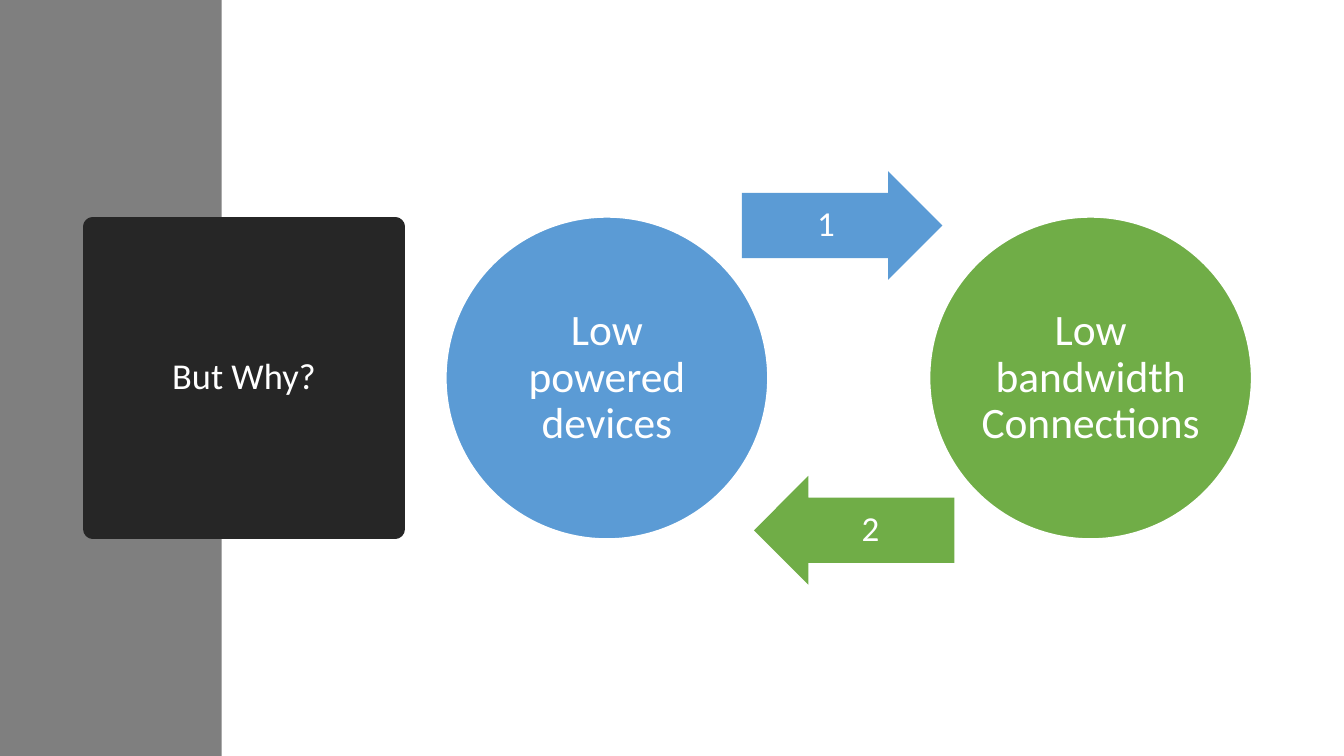
import pptx
import pptx.dml.color
import pptx.enum.shapes
import pptx.enum.text
import pptx.oxml.ns
import pptx.util
import lxml.etree
from dataclasses import dataclass

Cm = pptx.util.Cm
Pt = pptx.util.Pt
Shape = pptx.enum.shapes.MSO_SHAPE


@dataclass(frozen=True)
class Theme:
    font: str = "Calibri"
    white: str = "FFFFFF"
    band: str = "7F7F7F"
    title: str = "262626"
    blue: str = "5B9BD5"
    green: str = "70AD47"
    title_size: float = 26
    circle_size: float = 31
    arrow_size: float = 25


class SlideBuilder:
    def __init__(self, slide, theme):
        self.slide = slide
        self.theme = theme

    def shape(self, kind, left, top, width, height, fill, line=None, line_width=0):
        shape = self.slide.shapes.add_shape(
            kind, Cm(left), Cm(top), Cm(width), Cm(height))
        shape.shadow.inherit = False
        shape.fill.solid()
        shape.fill.fore_color.rgb = pptx.dml.color.RGBColor.from_string(fill)
        if line:
            shape.line.color.rgb = pptx.dml.color.RGBColor.from_string(line)
            shape.line.width = Pt(line_width)
        else:
            shape.line.fill.background()
        return shape

    def label(self, shape, text, size, inset):
        frame = shape.text_frame
        frame.word_wrap = True
        frame.vertical_anchor = pptx.enum.text.MSO_ANCHOR.MIDDLE
        frame.margin_left = frame.margin_right = Cm(inset)
        frame.margin_top = frame.margin_bottom = Cm(inset)
        paragraph = frame.paragraphs[0]
        paragraph.alignment = pptx.enum.text.PP_ALIGN.CENTER
        paragraph.line_spacing = 0.9
        run = paragraph.add_run()
        run.text = text
        run.font.name = self.theme.font
        run.font.size = Pt(size)
        run.font.color.rgb = pptx.dml.color.RGBColor.from_string(self.theme.white)

    def title(self, text, left, center, side):
        color = self.theme.title
        shape = self.shape(Shape.RECTANGLE, left, center - side / 2, side, side,
                           color, color, 13.75)
        # The thick outline rounds the corners of the square
        outline = shape.line.fill._xPr
        lxml.etree.SubElement(outline, pptx.oxml.ns.qn("a:round"))
        self.label(shape, text, self.theme.title_size, 0.25)

    def circle(self, text, left, center, diameter, fill):
        shape = self.shape(Shape.OVAL, left, center - diameter / 2,
                           diameter, diameter, fill, self.theme.white, 1.5)
        self.label(shape, text, self.theme.circle_size, 0.1)

    def arrow(self, kind, text, left, center, fill):
        width, height = 5.05, 2.74
        shape = self.shape(kind, left, center - height / 2, width, height, fill)
        shape.adjustments[0] = 0.6
        shape.adjustments[1] = 0.5
        self.label(shape, text, self.theme.arrow_size, 0)


def main():
    presentation = pptx.Presentation()
    presentation.slide_width = Cm(33.87)
    presentation.slide_height = Cm(19.05)
    slide = presentation.slides.add_slide(presentation.slide_layouts[6])
    theme = Theme()
    builder = SlideBuilder(slide, theme)
    middle = 19.05 / 2
    arrow_offset = 3.84

    # Side band and title
    builder.shape(Shape.RECTANGLE, 0, 0, 5.59, 19.05, theme.band)
    builder.title("But Why?", 2.34, middle, 7.62)

    # Cycle of two circles, each with its outgoing arrow
    builder.circle("Low powered devices", 11.23, middle, 8.13, theme.blue)
    builder.arrow(Shape.RIGHT_ARROW, "1", 18.7, middle - arrow_offset, theme.blue)
    builder.circle("Low bandwidth Connections", 23.42, middle, 8.13, theme.green)
    builder.arrow(Shape.LEFT_ARROW, "2", 19, middle + arrow_offset, theme.green)

    presentation.save("out.pptx")


if __name__ == "__main__":
    main()
